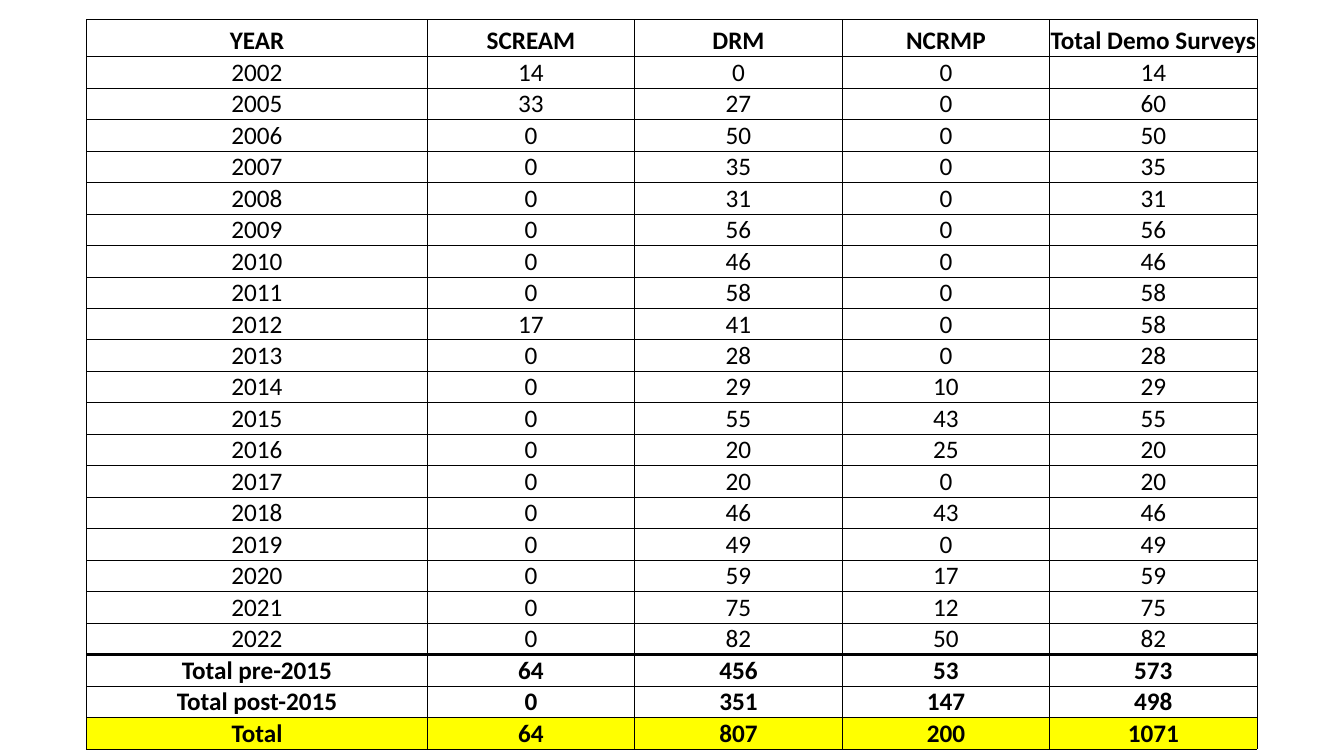
"""Build a slide with a table of yearly demographic survey counts by programme."""
from dataclasses import dataclass

from lxml.etree import SubElement
from pptx import Presentation
from pptx.dml.color import RGBColor
from pptx.enum.text import MSO_ANCHOR, PP_ALIGN
from pptx.oxml.ns import qn
from pptx.util import Pt

HEADINGS = ("YEAR", "SCREAM", "DRM", "NCRMP", "Total Demo Surveys")
YEARS = [
    (2002, 14, 0, 0, 14),
    (2005, 33, 27, 0, 60),
    (2006, 0, 50, 0, 50),
    (2007, 0, 35, 0, 35),
    (2008, 0, 31, 0, 31),
    (2009, 0, 56, 0, 56),
    (2010, 0, 46, 0, 46),
    (2011, 0, 58, 0, 58),
    (2012, 17, 41, 0, 58),
    (2013, 0, 28, 0, 28),
    (2014, 0, 29, 10, 29),
    (2015, 0, 55, 43, 55),
    (2016, 0, 20, 25, 20),
    (2017, 0, 20, 0, 20),
    (2018, 0, 46, 43, 46),
    (2019, 0, 49, 0, 49),
    (2020, 0, 59, 17, 59),
    (2021, 0, 75, 12, 75),
    (2022, 0, 82, 50, 82),
]
TOTALS = [
    ("Total pre-2015", 64, 456, 53, 573),
    ("Total post-2015", 0, 351, 147, 498),
    ("Total", 64, 807, 200, 1071),
]


@dataclass(frozen=True)
class Theme:
    font: str = "Calibri"
    size: float = 18
    ink: str = "000000"
    highlight: str = "FFFF00"
    thin: float = 0.5
    thick: float = 2


THEME = Theme()
LEFT, TOP, HEIGHT = 62, 13.8, 512.6
COLUMN_WIDTHS = [243.2] + [148.2] * 4
HEADER_HEIGHT, ROW_HEIGHT = 26.6, 14.4
INSET = 0.5


def add_borders(cell, top, bottom):
    properties = cell._tc.get_or_add_tcPr()
    widths = {"lnL": THEME.thin, "lnR": THEME.thin, "lnT": top, "lnB": bottom}
    for position, (side, width) in enumerate(widths.items()):
        line = SubElement(properties, qn(f"a:{side}"), w=str(Pt(width)))
        fill = SubElement(line, qn("a:solidFill"))
        SubElement(fill, qn("a:srgbClr"), val=THEME.ink)
        properties.insert(position, line)


def fill_cell(cell, value, bold, highlighted):
    cell.text = str(value)
    cell.vertical_anchor = MSO_ANCHOR.BOTTOM
    cell.margin_left = cell.margin_right = cell.margin_top = Pt(INSET)
    cell.margin_bottom = 0
    if highlighted:
        cell.fill.solid()
        cell.fill.fore_color.rgb = RGBColor.from_string(THEME.highlight)
    else:
        cell.fill.background()
    para = cell.text_frame.paragraphs[0]
    para.alignment = PP_ALIGN.CENTER
    para.font.name = THEME.font
    para.font.size = Pt(THEME.size)
    para.font.bold = bold
    para.font.color.rgb = RGBColor.from_string(THEME.ink)


def add_survey_table(page):
    rows = [HEADINGS, *YEARS, *TOTALS]
    first_total = 1 + len(YEARS)
    frame = page.shapes.add_table(
        len(rows), len(HEADINGS), Pt(LEFT), Pt(TOP), Pt(sum(COLUMN_WIDTHS)), Pt(HEIGHT)
    )
    table = frame.table
    table.horz_banding = False
    for column, width in zip(table.columns, COLUMN_WIDTHS):
        column.width = Pt(width)
    for index, values in enumerate(rows):
        table.rows[index].height = Pt(ROW_HEIGHT if index else HEADER_HEIGHT)
        bold = index == 0 or index >= first_total
        top = THEME.thick if index == first_total else THEME.thin
        bottom = THEME.thick if index == first_total - 1 else THEME.thin
        for cell, value in zip(table.rows[index].cells, values):
            fill_cell(cell, value, bold, index == len(rows) - 1)
            add_borders(cell, top, bottom)
    frame.height = Pt(HEIGHT)


def main():
    deck = Presentation()
    deck.slide_width, deck.slide_height = Pt(960), Pt(540)
    page = deck.slides.add_slide(deck.slide_layouts[6])
    add_survey_table(page)
    deck.save("out.pptx")


if __name__ == "__main__":
    main()
